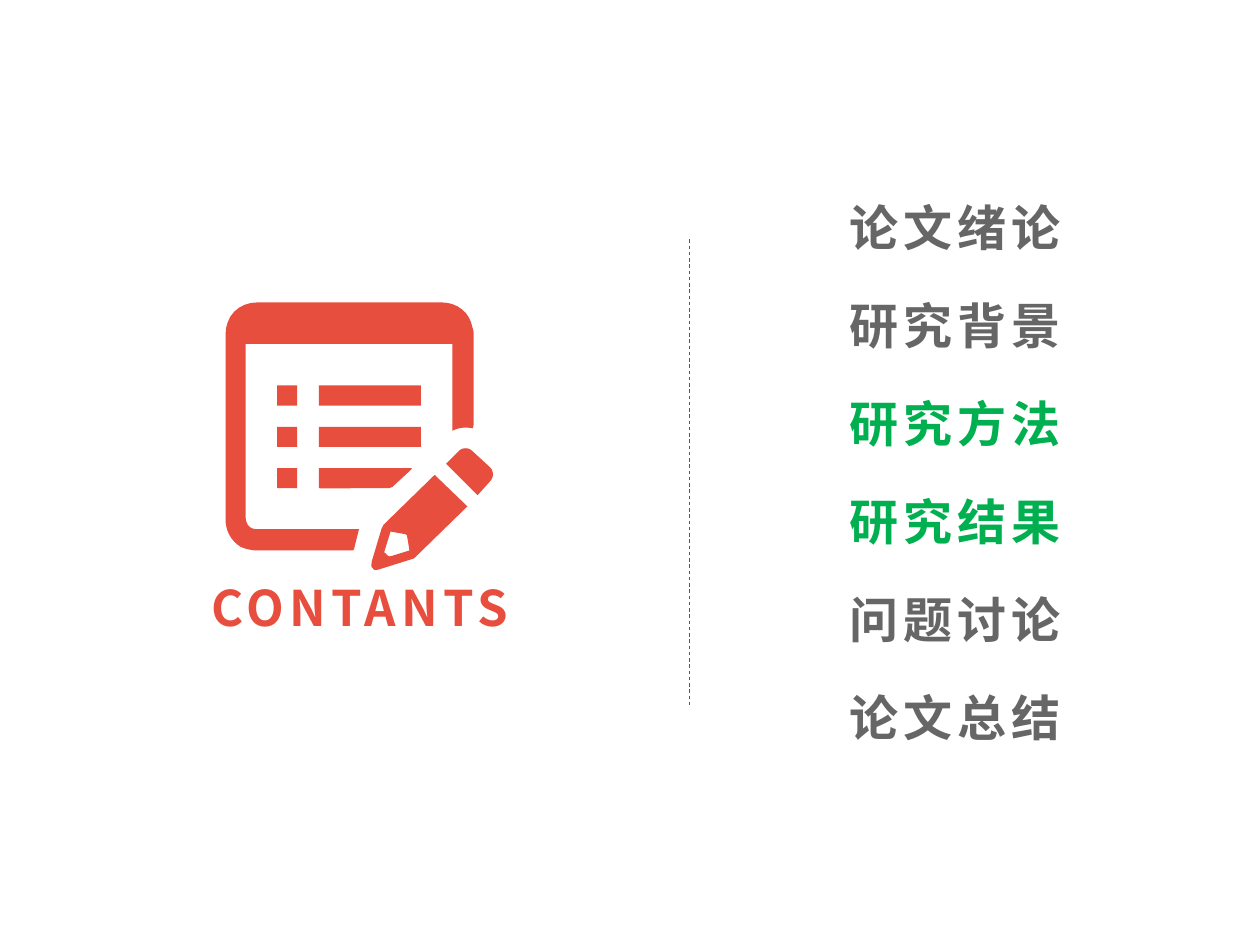
import pptx
import pptx.dml.color
import pptx.enum.dml
import pptx.enum.shapes
import pptx.enum.text
import pptx.oxml
import pptx.oxml.ns
import pptx.util
import lxml.etree

Pt = pptx.util.Pt
RGBColor = pptx.dml.color.RGBColor
ALIGN = pptx.enum.text.PP_ALIGN

RED = RGBColor(0xE7, 0x4E, 0x3E)
GREEN = RGBColor(0x00, 0xB0, 0x50)
GRAY = RGBColor(0x66, 0x66, 0x66)
BLUE = RGBColor(0x01, 0x74, 0xAB)

FONT_FORMAT = {"name": "Noto Sans CJK SC", "size": Pt(28), "bold": True}
CURVE_STEPS = 8


def add_label(shapes, text, left, top, width, color, alignment):
    shape = shapes.add_textbox(Pt(left), Pt(top), Pt(width), Pt(41.2))
    frame = shape.text_frame
    frame_format = {"word_wrap": True, "auto_size": pptx.enum.text.MSO_AUTO_SIZE.SHAPE_TO_FIT_TEXT}
    for name, value in frame_format.items():
        setattr(frame, name, value)
    paragraph = frame.paragraphs[0]
    paragraph.alignment = alignment
    run = paragraph.add_run()
    run.text = text
    for name, value in FONT_FORMAT.items():
        setattr(run.font, name, value)
    run.font.color.rgb = color
    properties = run.font._element
    properties.set("spc", "300")
    east_asian = lxml.etree.SubElement(properties, pptx.oxml.ns.qn("a:ea"))
    east_asian.set("typeface", FONT_FORMAT["name"])


def flatten(outline):
    points = [outline[0]]
    for segment in outline[1:]:
        if len(segment) == 2:
            points.append(segment)
            continue
        x0, y0 = points[-1]
        x1, y1, x2, y2, x3, y3 = segment
        for step in range(1, CURVE_STEPS + 1):
            t = step / CURVE_STEPS
            a, b, c, d = (1 - t) ** 3, 3 * t * (1 - t) ** 2, 3 * t * t * (1 - t), t ** 3
            points.append((a * x0 + b * x1 + c * x2 + d * x3, a * y0 + b * y1 + c * y2 + d * y3))
    return [(Pt(x), Pt(y)) for x, y in points]


presentation = pptx.Presentation()
for name, value in {"slide_width": Pt(720), "slide_height": Pt(540)}.items():
    setattr(presentation, name, value)
slide = presentation.slides.add_slide(presentation.slide_layouts[6])

divider = slide.shapes.add_connector(
    pptx.enum.shapes.MSO_CONNECTOR.STRAIGHT, Pt(393.8), Pt(136.8), Pt(393.8), Pt(403.2))
divider.line.color.rgb = BLUE
line_format = {"width": Pt(0.5), "dash_style": pptx.enum.dml.MSO_LINE.DASH}
for name, value in line_format.items():
    setattr(divider.line, name, value)
lxml.etree.SubElement(divider._element.spPr, pptx.oxml.ns.qn("a:effectLst"))

chapters = [
    ("论文绪论", GRAY),
    ("研究背景", GRAY),
    ("研究方法", GREEN),
    ("研究结果", GREEN),
    ("问题讨论", GRAY),
    ("论文总结", GRAY),
]
for row, (chapter, color) in enumerate(chapters):
    add_label(slide.shapes, chapter, 478.1, 109.4 + 56 * row, 141.1, color, ALIGN.LEFT)

page = [
    (205.2, 302.4), (202.3, 313.9), (201.9, 314.6, 201.6, 314.6, 200.2, 314.6),
    (147.6, 314.6), (144, 314.6, 140.7, 313.9, 137.5, 312.5),
    (131.8, 308.9, 128.9, 303.1, 128.9, 296.6),
    (128.9, 191.5), (128.9, 180.7, 136.1, 172.8, 147.6, 172.8),
    (252, 172.8), (261.4, 172.8, 268.6, 178.6, 270, 187.2),
    (270.7, 188.6, 270.7, 190.1, 270.7, 191.5),
    (270.7, 242.6), (270.3, 244.8), (266.4, 244.1, 262.8, 244.1, 258.5, 246.2),
    (258.5, 196.6), (140.4, 196.6), (140.4, 295.2),
    (140.4, 299.5, 142.6, 302.8, 147.6, 302.4),
]
pencil = [
    (248.4, 271.4), (267.1, 289.4), (238.3, 317.5),
    (237.6, 318.2, 236.9, 319, 236.2, 319.3),
    (216.7, 325.4), (215.3, 325.8, 213.8, 326.2, 213.1, 324.7),
    (211.7, 324, 212.4, 322.6, 212.4, 321.1),
    (218.2, 301.7), (218.9, 301, 218.9, 300.2, 219.6, 299.5),
]
pencil_tip = [
    (223.2, 303.8), (219.6, 315.4), (219.6, 315.4, 219.6, 316.1, 220.3, 316.1),
    (221.8, 318.2, 222.5, 318.2, 224.6, 317.5), (234, 314.6), (232.6, 306), (231.8, 305.3),
]
eraser = [
    (254.9, 265), (262.1, 257.8), (264.2, 255.6, 267.8, 255.6, 270, 257.8),
    (280.1, 267.1), (282.2, 269.3, 282.2, 272.9, 280.1, 275), (272.9, 283),
]
cut_bar = [
    (182.2, 267.5), (235.4, 267.5), (234.7, 268.6), (224.6, 277.9),
    (223.9, 278.6, 223.2, 278.6, 222.5, 278.9), (182.9, 279.1), (182.2, 278.6),
]

icon = slide.shapes.add_group_shape()
parts = []
for outlines in ([page], [pencil, pencil_tip], [cut_bar], [eraser]):
    contours = [flatten(outline) for outline in outlines]
    builder = icon.shapes.build_freeform(*contours[0][0], scale=1.0)
    builder.add_line_segments(contours[0][1:], close=True)
    for contour in contours[1:]:
        builder.move_to(*contour[0])
        builder.add_line_segments(contour[1:], close=True)
    parts.append(builder.convert_to_shape())

for row, columns in enumerate([[(158.4, 11.5), (182.2, 58.3)]] * 2 + [[(158.4, 11.5)]]):
    for left, width in columns:
        parts.append(icon.shapes.add_shape(
            pptx.enum.shapes.MSO_SHAPE.RECTANGLE,
            Pt(left), Pt(220.3 + 23.6 * row), Pt(width), Pt(11.5)))

for part in parts:
    part.shadow.inherit = False
    part.fill.solid()
    part.fill.fore_color.rgb = RED
    part.line.fill.background()

add_label(slide.shapes, "CONTANTS", 100.8, 326.2, 209.5, RED, ALIGN.CENTER)

presentation.save("out.pptx")
